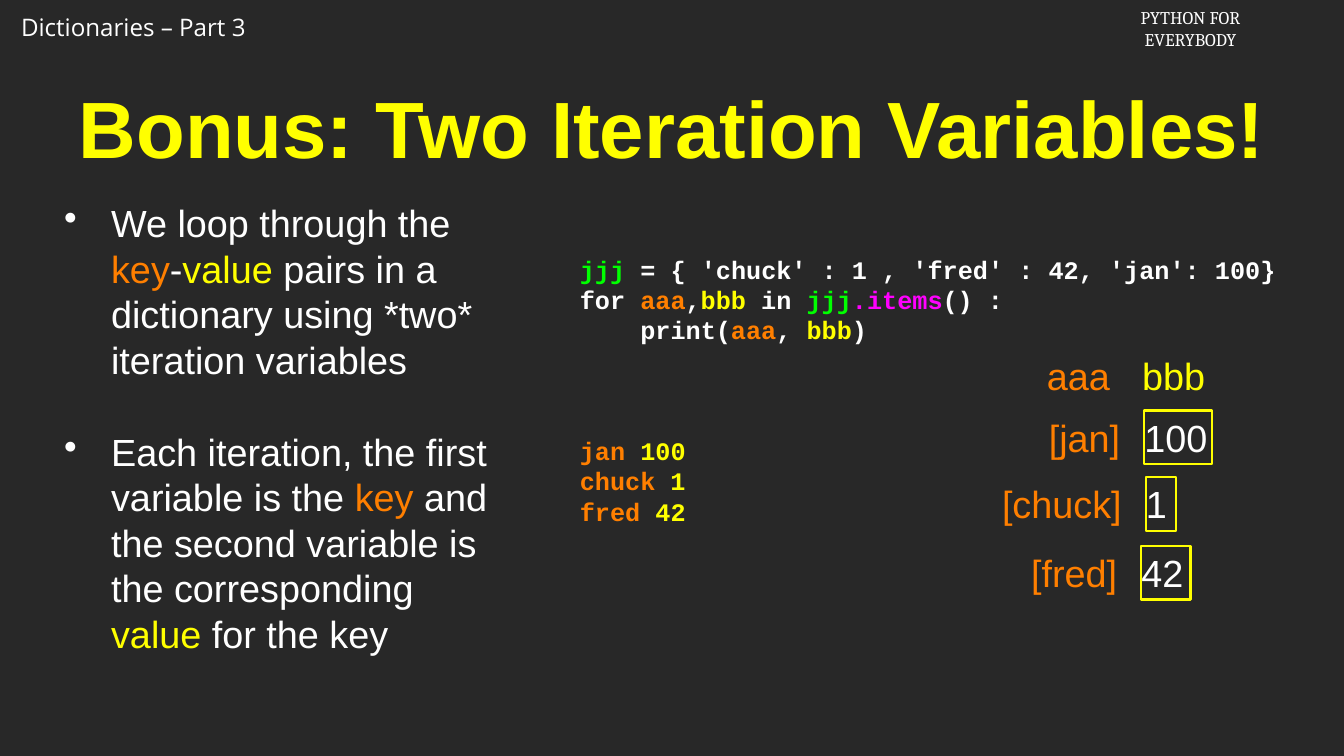
from dataclasses import dataclass

from lxml import etree
from pptx import Presentation
from pptx.dml.color import RGBColor
from pptx.enum import shapes, text
from pptx.oxml import ns
from pptx.util import Inches, Pt


@dataclass(frozen=True)
class Theme:
    background: str = "282828"
    white: str = "FFFFFF"
    orange: str = "FF7F00"
    yellow: str = "FFFF00"
    green: str = "00FF00"
    magenta: str = "FF00FF"
    sans: str = "Arial"
    mono: str = "Courier New"
    header_sans: str = "Open Sans"
    header_serif: str = "Cambria"
    title_size: int = 76
    body_size: int = 36
    code_size: int = 24
    header_size: int = 23
    course_size: int = 17
    leading: float = 1.2


THEME = Theme()
WHITE, ORANGE, YELLOW = THEME.white, THEME.orange, THEME.yellow
LEFT, CENTER, RIGHT = text.PP_ALIGN.LEFT, text.PP_ALIGN.CENTER, text.PP_ALIGN.RIGHT

BULLETS = [
    [("We loop through the ", WHITE), ("key", ORANGE), ("-", WHITE), ("value", YELLOW),
     (" pairs in a dictionary using *two* iteration variables", WHITE)],
    [("Each iteration, the first variable is the ", WHITE), ("key", ORANGE),
     (" and the second variable is the corresponding ", WHITE), ("value ", YELLOW),
     ("for the key", WHITE)],
]
CODE = [
    [("jjj ", THEME.green), ("= { 'chuck' : 1 , 'fred' : 42, 'jan': 100}", WHITE)],
    [("for ", WHITE), ("aaa", ORANGE), (",", WHITE), ("bbb", YELLOW), (" in ", WHITE),
     ("jjj", THEME.green), (".items", THEME.magenta), ("() :", WHITE)],
    [("    print(", WHITE), ("aaa", ORANGE), (", ", WHITE), ("bbb", YELLOW), (")", WHITE)],
]
OUTPUT = [
    [("jan", ORANGE), (" 100", YELLOW)],
    [("chuck ", ORANGE), ("1", YELLOW)],
    [("fred", ORANGE), (" 42", YELLOW)],
]
# key, value, top, left and width of the value box
PAIRS = [
    ("[jan]", "100", 5.43, 15.14, 0.9),
    ("[chuck]", "1", 6.31, 15.16, 0.4),
    ("[fred]", "42", 7.22, 15.1, 0.65),
]


class SlideBuilder:
    def __init__(self, presentation, theme):
        self.theme = theme
        self.slide = presentation.slides.add_slide(presentation.slide_layouts[5])
        fill = self.slide.background.fill
        fill.solid()
        fill.fore_color.rgb = RGBColor.from_string(theme.background)

    def set_lines(self, shape, lines, size, font=None, bold=False, align=LEFT,
                  inset=(0, 0, 0, 0), anchor=text.MSO_ANCHOR.MIDDLE):
        """Fill a shape with lines, each a list of (text, colour) pieces."""
        frame = shape.text_frame
        frame.word_wrap = True
        frame.auto_size = text.MSO_AUTO_SIZE.NONE
        frame.vertical_anchor = anchor
        (frame.margin_left, frame.margin_top,
         frame.margin_right, frame.margin_bottom) = map(Inches, inset)
        for index, pieces in enumerate(lines):
            paragraph = frame.add_paragraph() if index else frame.paragraphs[0]
            paragraph.alignment = align
            for words, color in pieces:
                run = paragraph.add_run()
                run.text = words
                run.font.name = font or self.theme.sans
                run.font.size = Pt(size)
                run.font.bold = bold
                run.font.color.rgb = RGBColor.from_string(color)
        return frame.paragraphs

    def text_box(self, place, lines, size, **style):
        box = self.slide.shapes.add_textbox(*map(Inches, place))
        return self.set_lines(box, lines, size, **style)

    def header(self, place, lines, size, font, align=LEFT):
        self.text_box(place, [[(line, WHITE)] for line in lines], size, font=font,
                      align=align, inset=(0.1, 0.05, 0.1, 0.05),
                      anchor=text.MSO_ANCHOR.TOP)

    def title(self, place, words):
        title = self.slide.shapes.title
        title.left, title.top, title.width, title.height = map(Inches, place)
        self.set_lines(title, [[(words, YELLOW)]], self.theme.title_size, bold=True,
                       align=CENTER, inset=(0.04,) * 4)

    def bullets(self, place, items):
        size = self.theme.body_size
        paragraphs = self.text_box(place, items, size, inset=(0.04,) * 4)
        for index, paragraph in enumerate(paragraphs):
            paragraph.line_spacing = Pt(size * self.theme.leading)
            paragraph.space_before = Pt(35 if index else 0)
            paragraph.space_after = Pt(10)
            properties = paragraph._p.get_or_add_pPr()
            properties.set("marL", str(Inches(0.62)))
            properties.set("indent", str(-Inches(0.62)))
            etree.SubElement(properties, ns.qn("a:buChar")).set("char", "•")

    def code(self, place, source, output):
        """Set source lines, a gap of three lines, then the printed output."""
        size = self.theme.code_size
        leading = size * self.theme.leading
        paragraphs = self.text_box(place, source + output, size, font=self.theme.mono,
                                   bold=True, inset=(0, 0, 0, 2 * leading / 72))
        for paragraph in paragraphs:
            paragraph.line_spacing = Pt(leading)
        paragraphs[len(source)].space_before = Pt(3 * leading)

    def label(self, place, words, color, align):
        self.text_box(place, [[(words, color)]], self.theme.body_size, align=align)

    def value_box(self, place, words):
        box = self.slide.shapes.add_shape(shapes.MSO_SHAPE.RECTANGLE, *map(Inches, place))
        box.shadow.inherit = False
        box.fill.background()
        box.line.color.rgb = RGBColor.from_string(YELLOW)
        box.line.width = Pt(2)
        self.set_lines(box, [[(words, WHITE)]], self.theme.body_size)


def main():
    presentation = Presentation()
    presentation.slide_width, presentation.slide_height = Inches(17.78), Inches(10)
    builder = SlideBuilder(presentation, THEME)

    builder.header((0.18, 0.12, 3.34, 0.49), ["Dictionaries – Part 3"],
                   THEME.header_size, THEME.header_sans)
    builder.header((14.88, 0.04, 1.74, 0.67), ["PYTHON FOR", "EVERYBODY"],
                   THEME.course_size, THEME.header_serif, CENTER)
    builder.title((0.69, 0.99, 16.4, 1.36), "Bonus: Two Iteration Variables!")
    builder.bullets((0.81, 2.54, 5.9, 6.24), BULLETS)
    builder.code((7.67, 2.94, 9.31, 5.24), CODE, OUTPUT)

    builder.label((13.79, 4.62, 0.95, 0.68), "aaa", ORANGE, CENTER)
    builder.label((15.09, 4.62, 0.87, 0.68), "bbb", YELLOW, CENTER)
    key_width, key_gap = 1.64, 0.32
    for key, value, top, left, width in PAIRS:
        builder.label((left - key_gap - key_width, top + 0.01, key_width, 0.68),
                      key, ORANGE, RIGHT)
        builder.value_box((left, top, width, 0.71), value)

    presentation.save("out.pptx")


if __name__ == "__main__":
    main()
